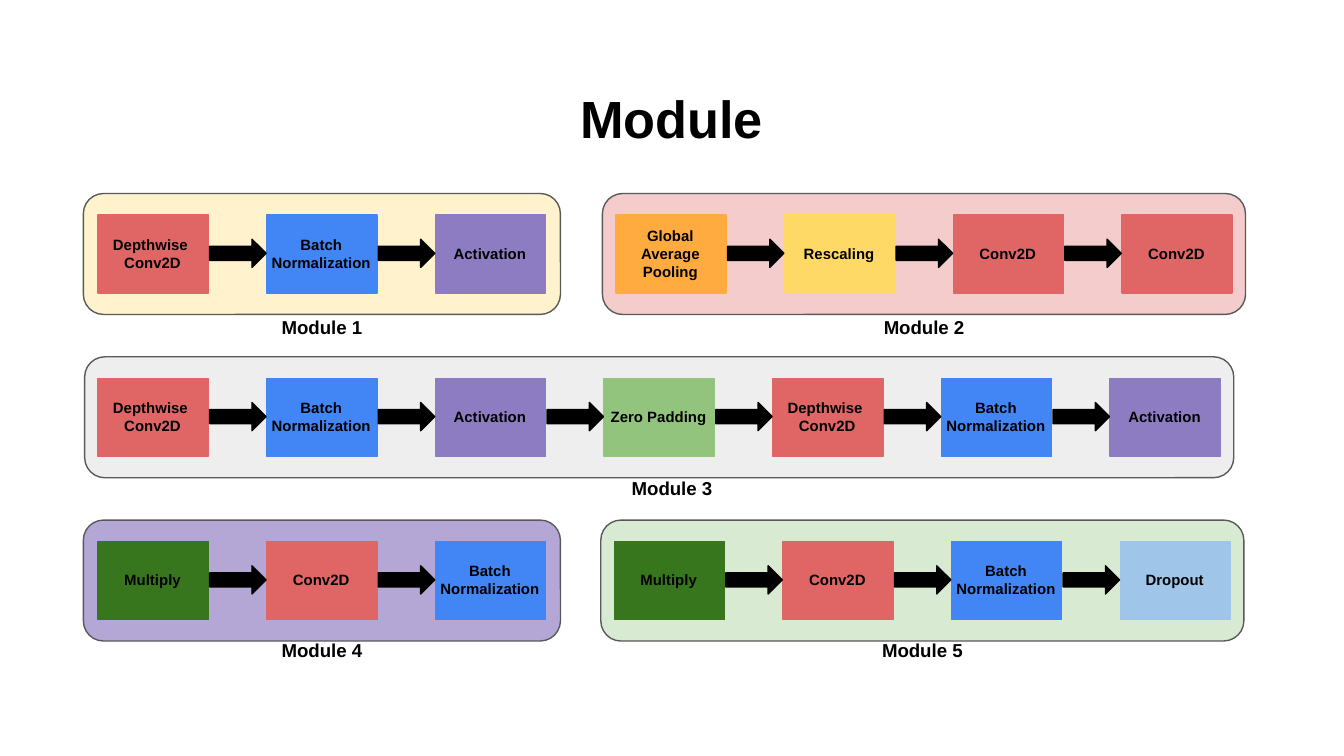
"""Draw five neural network modules as chains of coloured layer blocks."""
from dataclasses import dataclass

from pptx import Presentation
from pptx.dml.color import RGBColor
from pptx.enum.shapes import MSO_SHAPE
from pptx.enum.text import MSO_ANCHOR, PP_ALIGN
from pptx.util import Inches, Pt


@dataclass(frozen=True)
class Theme:
    """Hold the font, type sizes and colours."""
    font: str = "Arial"
    title: int = 28
    label: int = 10
    block: int = 8
    rule: float = 0.75
    ink: str = "000000"
    edge: str = "595959"
    red: str = "E06666"
    blue: str = "4285F4"
    violet: str = "8E7CC3"
    orange: str = "FFAB40"
    yellow: str = "FFD966"
    green: str = "93C47D"
    forest: str = "38761D"
    sky: str = "9FC5E8"


@dataclass(frozen=True)
class Grid:
    """Hold the block grid: origin, steps and block size in inches."""
    left: float = 0.73
    top: float = 1.6
    col: float = 7.53 / 6
    row: float = 2.43 / 2
    wide: float = 0.82
    high: float = 0.58

    def spot(self, col, row):
        """Return the top left corner of a grid cell."""
        return self.left + col * self.col, self.top + row * self.row


THEME = Theme()
GRID = Grid()
SIZE = 10, 10 * 9 / 16
FRAME = {"word_wrap": True, **{f"margin_{side}": Inches(0.1)
         for side in ("left", "right", "top", "bottom")}}
LAYERS = {
    "Depthwise \nConv2D": THEME.red,
    "Batch\nNormalization": THEME.blue,
    "Activation": THEME.violet,
    "Global Average Pooling": THEME.orange,
    "Rescaling": THEME.yellow,
    "Conv2D": THEME.red,
    "Zero Padding": THEME.green,
    "Multiply": THEME.forest,
    "Dropout": THEME.sky,
}
DEPTH, BATCH, ACT, POOL, SCALE, CONV, PAD, MULT, DROP = LAYERS
MODULES = [
    ("Module 1", 0, 0, 0.11, "FFF2CC", [DEPTH, BATCH, ACT]),
    ("Module 2", 3.07, 0, 0.1, "F4CCCC", [POOL, SCALE, CONV, CONV]),
    ("Module 3", 0, 1, 0.1, "EEEEEE",
     [DEPTH, BATCH, ACT, PAD, DEPTH, BATCH, ACT]),
    ("Module 4", 0, 2, 0.11, "B4A7D6", [MULT, CONV, BATCH]),
    ("Module 5", 3.06, 2, 0.1, "D9EAD3", [MULT, CONV, BATCH, DROP]),
]


def apply(item, values):
    """Set each named value on an item."""
    for name, value in values.items():
        setattr(item, name, value)


def shape(slide, kind, box, fill, line):
    """Add a filled and outlined preset shape."""
    form = slide.shapes.add_shape(kind, *map(Inches, box))
    form.shadow.inherit = False
    form.fill.solid()
    form.fill.fore_color.rgb = RGBColor.from_string(fill)
    form.line.color.rgb = RGBColor.from_string(line)
    form.line.width = Pt(THEME.rule)


def text(slide, words, box, size, anchor=MSO_ANCHOR.MIDDLE):
    """Add centred bold text, one paragraph to a line."""
    frame = slide.shapes.add_textbox(*map(Inches, box)).text_frame
    apply(frame, {**FRAME, "vertical_anchor": anchor})
    frame.text = words
    for para in frame.paragraphs:
        para.alignment = PP_ALIGN.CENTER
        for run in para.runs:
            apply(run.font, {"name": THEME.font, "size": Pt(size), "bold": True})
            run.font.color.rgb = RGBColor.from_string(THEME.ink)


def panel(slide, col, row, pad, count, fill):
    """Add the rounded panel behind a chain and return its middle."""
    x, y = GRID.spot(col, row)
    width = (count - 1) * GRID.col + GRID.wide + 2 * pad
    box = x - pad, y - 0.16, width, GRID.high + 0.32
    shape(slide, MSO_SHAPE.ROUNDED_RECTANGLE, box, fill, THEME.edge)
    return x - pad + width / 2


def block(slide, col, row, name):
    """Add one layer block with its name."""
    x, y = GRID.spot(col, row)
    fill = LAYERS[name]
    shape(slide, MSO_SHAPE.RECTANGLE, (x, y, GRID.wide, GRID.high), fill, fill)
    text(slide, name, (x - 0.09, y - 0.05, 0.99, 0.67), THEME.block)


def arrow(slide, col, row):
    """Add the arrow that leaves the block in a grid cell."""
    x, y = GRID.spot(col, row)
    box = x + GRID.wide + 0.01, y + 0.18, 0.42, 0.21
    shape(slide, MSO_SHAPE.RIGHT_ARROW, box, THEME.ink, THEME.ink)


def module(slide, label, col, row, pad, fill, names):
    """Add a panel, its chain of layers and its label."""
    mid = panel(slide, col, row, pad, len(names), fill)
    if len(names) > 4:
        mid = SIZE[0] / 2
    for step, name in enumerate(names):
        block(slide, col + step, row, name)
        if step:
            arrow(slide, col + step - 1, row)
    box = mid - 0.47, 2.25 + 1.2 * row, 0.94, 0.37
    text(slide, label, box, THEME.label)


def main():
    """Build and save the slide."""
    deck = Presentation()
    apply(deck, dict(zip(("slide_width", "slide_height"), map(Inches, SIZE))))
    slide = deck.slides.add_slide(deck.slide_layouts[6])
    text(slide, "Module", (1.6, 0.54, 6.79, 0.67), THEME.title, MSO_ANCHOR.TOP)
    for item in MODULES:
        module(slide, *item)
    deck.save("out.pptx")


if __name__ == "__main__":
    main()
